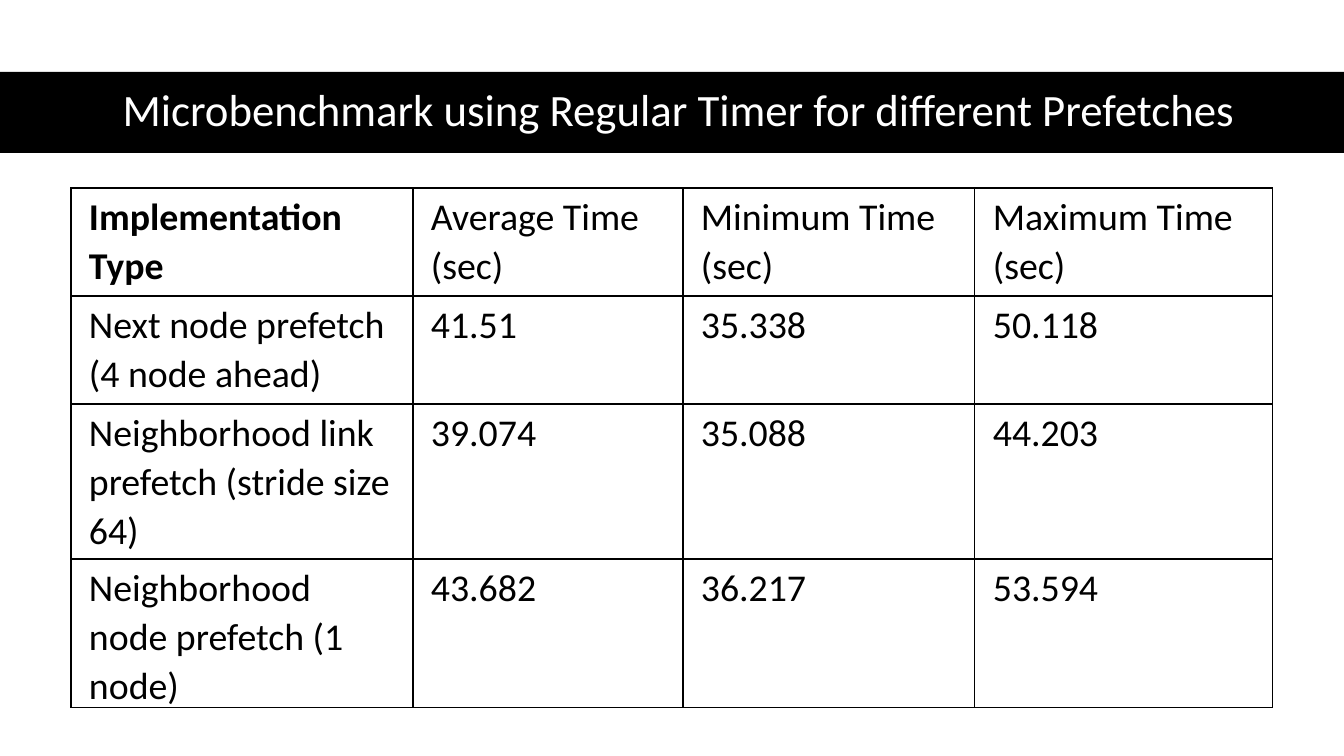
from lxml.etree import SubElement
from pptx import Presentation
from pptx.dml.color import RGBColor
from pptx.enum.shapes import MSO_SHAPE
from pptx.enum.text import MSO_ANCHOR, PP_ALIGN
from pptx.oxml.ns import qn
from pptx.util import Pt

BLACK = RGBColor(0, 0, 0)
WHITE = RGBColor(255, 255, 255)
EMU_PER_PIXEL = 914400 / 100.8


def px(length):
    return round(length * EMU_PER_PIXEL)


class SlideBuilder:
    font = "Calibri"
    border_width = Pt(1)
    cell_margins = {"margin_left": px(18), "margin_right": px(18),
                    "margin_top": px(3), "margin_bottom": 0}

    def __init__(self, page):
        self.page = page

    def add_text(self, frame, text, color, paragraph_format, font_format):
        para = frame.paragraphs[0]
        for name, value in paragraph_format.items():
            setattr(para, name, value)
        span = para.add_run()
        span.text = text
        for name, value in {"name": self.font, **font_format}.items():
            setattr(span.font, name, value)
        span.font.color.rgb = color

    def band(self, left, top, width, height, color):
        shape = self.page.shapes.add_shape(
            MSO_SHAPE.RECTANGLE, px(left), px(top), px(width), px(height))
        shape.shadow.inherit = False
        shape.fill.solid()
        shape.fill.fore_color.rgb = color
        shape.line.fill.background()

    def title(self, left, top, width, height, text, color):
        box = self.page.shapes.add_textbox(px(left), px(top), px(width), px(height))
        frame = box.text_frame
        frame.word_wrap = True
        frame.vertical_anchor = MSO_ANCHOR.MIDDLE
        self.add_text(frame, text, color,
                      {"alignment": PP_ALIGN.CENTER, "line_spacing": 0.9},
                      {"size": Pt(32)})

    def borders(self, cell, color):
        properties = cell._tc.get_or_add_tcPr()
        for side in ("lnL", "lnR", "lnT", "lnB"):
            line = SubElement(properties, qn(f"a:{side}"), w=str(self.border_width))
            fill = SubElement(line, qn("a:solidFill"))
            SubElement(fill, qn("a:srgbClr"), val=str(color))

    def table(self, left, top, widths, heights, rows, color):
        table = self.page.shapes.add_table(
            len(heights), len(widths), px(left), px(top),
            px(sum(widths)), px(sum(heights))).table
        table.first_row = False
        table.horz_banding = False
        for column, width in zip(table.columns, widths):
            column.width = px(width)
        for row, height, texts in zip(table.rows, heights, rows):
            row.height = px(height)
            for cell, text in zip(row.cells, texts):
                for name, value in self.cell_margins.items():
                    setattr(cell, name, value)
                self.borders(cell, color)
                cell.fill.background()
                self.add_text(cell.text_frame, text, color, {"line_spacing": 1.07},
                              {"size": Pt(27), "bold": text == rows[0][0]})


TIMINGS = [
    ("Implementation Type", "Average Time (sec)", "Minimum Time (sec)", "Maximum Time (sec)"),
    ("Next node prefetch (4 node ahead)", "41.51", "35.338", "50.118"),
    ("Neighborhood link prefetch (stride size 64)", "39.074", "35.088", "44.203"),
    ("Neighborhood node prefetch (1 node)", "43.682", "36.217", "53.594"),
]

deck = Presentation()
deck.slide_width = px(1344)
deck.slide_height = px(756)
builder = SlideBuilder(deck.slides.add_slide(deck.slide_layouts[6]))
builder.band(0, 72, 1344, 81, BLACK)
builder.title(61, 71, 1236, 81,
              "Microbenchmark using Regular Timer for different Prefetches", WHITE)
builder.table(71, 188, (342, 270, 292, 298), (108, 108, 155, 108), TIMINGS, BLACK)
deck.save("out.pptx")
